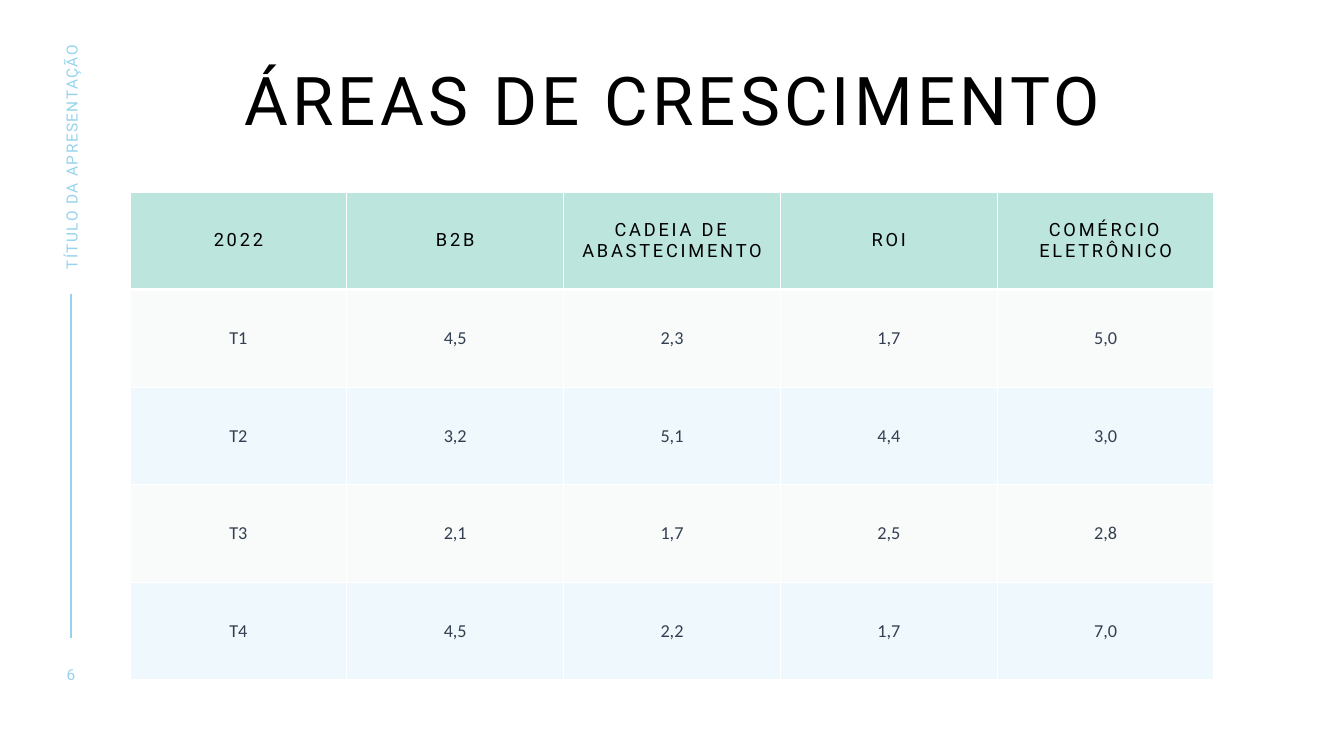
from lxml import etree
from pptx import Presentation
from pptx.dml.color import RGBColor
from pptx.enum.shapes import MSO_CONNECTOR
from pptx.enum.text import MSO_ANCHOR, MSO_AUTO_SIZE, PP_ALIGN
from pptx.oxml.ns import qn
from pptx.util import Emu, Pt

STRAIGHT = MSO_CONNECTOR.STRAIGHT
TOP, MIDDLE = MSO_ANCHOR.TOP, MSO_ANCHOR.MIDDLE
LEFT, CENTER = PP_ALIGN.LEFT, PP_ALIGN.CENTER
NO_AUTOFIT = MSO_AUTO_SIZE.NONE

BLACK = RGBColor(0x00, 0x00, 0x00)
WHITE = RGBColor(0xFF, 0xFF, 0xFF)
SKY = RGBColor(0x96, 0xD3, 0xED)
MINT = RGBColor(0xBC, 0xE5, 0xDD)
MIST = RGBColor(0xC7, 0xDB, 0xE1)
SLATE = RGBColor(0x33, 0x3F, 0x50)

PX_PER_INCH = 100.8
ROWS = [
    ["2022", "B2B", "CADEIA DE ABASTECIMENTO", "ROI", "COMÉRCIO ELETRÔNICO"],
    ["T1", "4,5", "2,3", "1,7", "5,0"],
    ["T2", "3,2", "5,1", "4,4", "3,0"],
    ["T3", "2,1", "1,7", "2,5", "2,8"],
    ["T4", "4,5", "2,2", "1,7", "7,0"],
]


def px(n):
    return Emu(round(n * 914400 / PX_PER_INCH))


def place(sp, x, y, w, h):
    sp.left, sp.top, sp.width, sp.height = px(x), px(y), px(w), px(h)


def write(tf, text, size=11, font="Roboto", color=SKY, spacing=0, align=CENTER,
          line_spacing=None):
    p = tf.paragraphs[0]
    p.alignment = align
    p.line_spacing = line_spacing
    r = p.add_run()
    r.text = text
    r.font.size = Pt(size)
    r.font.name = font
    r.font.color.rgb = color
    r._r.get_or_add_rPr().set("spc", str(spacing * 100))


def set_frame(tf, anchor):
    tf.margin_left = tf.margin_top = tf.margin_right = tf.margin_bottom = 0
    tf.word_wrap = True
    tf.auto_size = NO_AUTOFIT
    tf.vertical_anchor = anchor


def add_title(slide, text):
    sp = slide.shapes.title
    place(sp, 131, 67, 1084, 101)
    set_frame(sp.text_frame, TOP)
    write(sp.text_frame, text, size=48, color=BLACK, spacing=3, line_spacing=0.9)


def add_label(slide, text, x, y, w, h, rotation=0, **fmt):
    sp = slide.shapes.add_textbox(px(x), px(y), px(w), px(h))
    sp.rotation = rotation
    set_frame(sp.text_frame, MIDDLE)
    write(sp.text_frame, text, **fmt)


def add_rule(slide, x, top, bottom):
    line = slide.shapes.add_connector(STRAIGHT, px(x), px(top), px(x), px(bottom))
    line.line.color.rgb = SKY
    line.line.width = Pt(1)
    etree.SubElement(line._element.spPr, qn("a:effectLst"))


def set_borders(cell, top=1, bottom=1):
    tc_pr = cell._tc.get_or_add_tcPr()
    for side, width in (("L", 1), ("R", 1), ("T", top), ("B", bottom)):
        ln = etree.SubElement(tc_pr, qn(f"a:ln{side}"), w=str(Pt(width)))
        fill = etree.SubElement(ln, qn("a:solidFill"))
        etree.SubElement(fill, qn("a:srgbClr"), val=str(WHITE))


def set_fill(cell, color, opacity):
    cell.fill.solid()
    cell.fill.fore_color.rgb = color
    if opacity < 100:
        clr = cell._tc.tcPr.find(qn("a:solidFill")).find(qn("a:srgbClr"))
        etree.SubElement(clr, qn("a:alpha"), val=str(opacity * 1000))


def add_growth_table(slide, rows, x, y, w, h):
    table = slide.shapes.add_table(len(rows), len(rows[0]),
                                   px(x), px(y), px(w), px(h)).table
    for row in table.rows:
        row.height = px(h / len(rows))
    for i, values in enumerate(rows):
        if i == 0:
            fill, opacity = MINT, 100
            fmt = {"color": BLACK, "spacing": 2}
        else:
            fill, opacity = (MIST, 10) if i % 2 else (SKY, 15)
            fmt = {"color": SLATE, "font": "Calibri"}
        for j, value in enumerate(values):
            cell = table.cell(i, j)
            cell.vertical_anchor = MIDDLE
            set_borders(cell, top=3 if i == 1 else 1, bottom=3 if i == 0 else 1)
            set_fill(cell, fill, opacity)
            write(cell.text_frame, value, size=13, **fmt)


def main():
    prs = Presentation()
    prs.slide_width, prs.slide_height = px(1344), px(756)
    slide = prs.slides.add_slide(prs.slide_layouts[5])
    add_rule(slide, 71, 294, 638)
    add_title(slide, "ÁREAS DE CRESCIMENTO")
    add_label(slide, "TÍTULO DA APRESENTAÇÃO", -51, 137, 245, 19, rotation=270,
              spacing=1, align=LEFT)
    add_label(slide, "6", 46, 664, 50, 20, spacing=2)
    add_growth_table(slide, ROWS, 130, 192, 1084, 488)
    prs.save("out.pptx")


if __name__ == "__main__":
    main()
